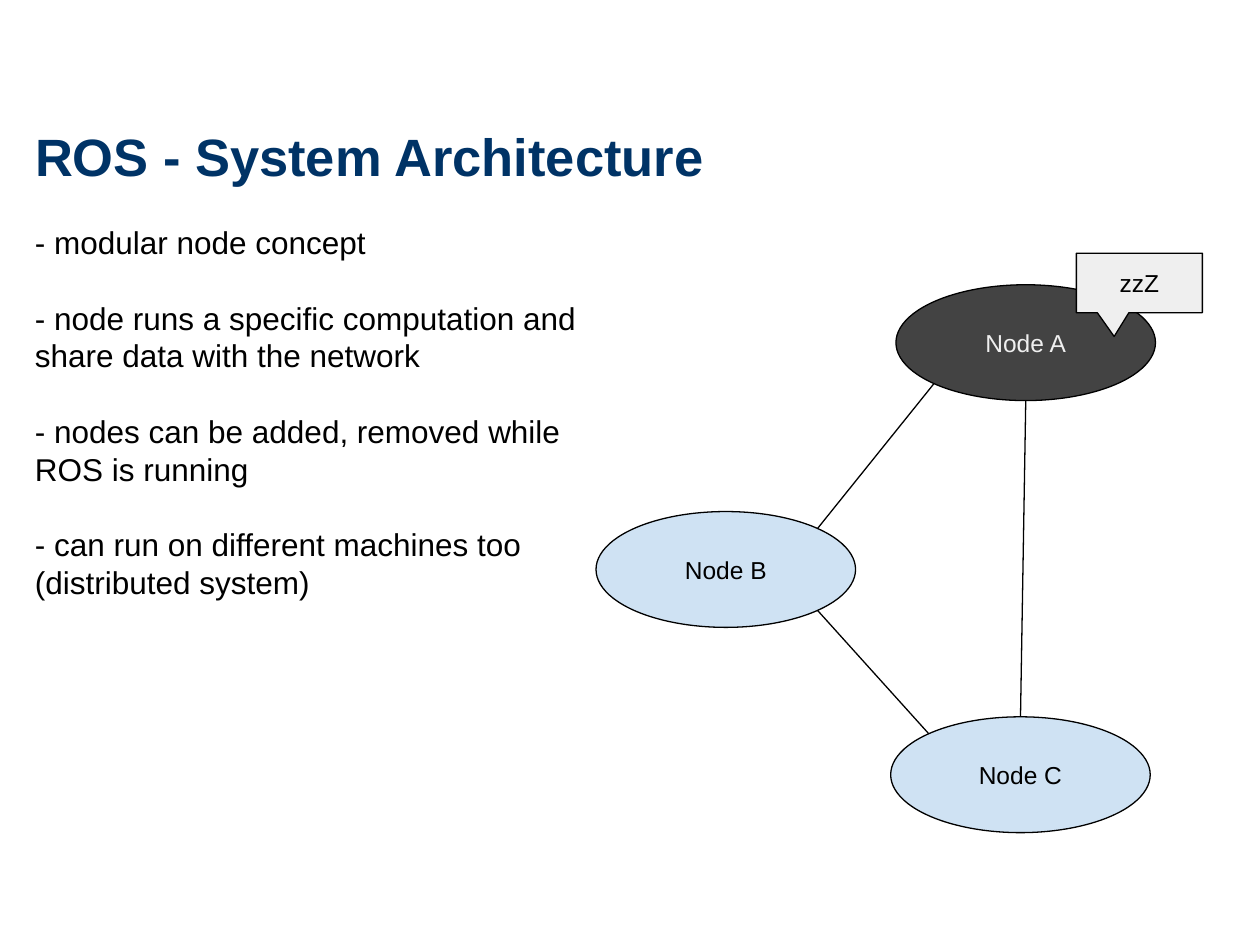
from dataclasses import dataclass
from math import cos, radians, sin

from lxml.etree import SubElement
from pptx import Presentation
from pptx.dml.color import RGBColor
from pptx.enum.shapes import MSO_CONNECTOR, MSO_SHAPE
from pptx.enum.text import MSO_ANCHOR, MSO_AUTO_SIZE, PP_ALIGN
from pptx.oxml.ns import qn
from pptx.util import Pt


@dataclass(frozen=True)
class Theme:
    """Colours, type sizes and strokes of the slide."""
    font: str = "Arial"
    navy: str = "003366"
    black: str = "000000"
    dark: str = "434343"
    pale: str = "EFEFEF"
    blue: str = "CFE2F3"
    title: float = 30
    body: float = 18
    label: float = 14
    leading: float = 21.6
    stroke: float = 0.75


THEME = Theme()
NODE_SIZE = (148.3, 66.2)
NODES = {
    "Node A": (171.4, 18, THEME.dark, THEME.pale),
    "Node C": (168.4, 264.9, THEME.blue, THEME.black),
    "Node B": (0, 147.6, THEME.blue, THEME.black),
}
LINKS = [
    ("Node A", 135, "Node B", -45),
    ("Node B", 45, "Node C", -135),
    ("Node C", -90, "Node A", 90),
]
POINTS = [
    "- modular node concept",
    "- node runs a specific computation and share data with the network",
    "- nodes can be added, removed while ROS is running",
    "- can run on different machines too (distributed system)",
]


def format_text(tf, size, color, align, anchor, inset=0, bold=False):
    """Format the frame and every run in it."""
    tf.word_wrap = True
    tf.auto_size = MSO_AUTO_SIZE.NONE
    tf.vertical_anchor = anchor
    tf.margin_left = tf.margin_top = tf.margin_right = tf.margin_bottom = Pt(inset)
    for p in tf.paragraphs:
        p.alignment = align
        for r in p.runs:
            r.font.name, r.font.size, r.font.bold = THEME.font, Pt(size), bold
            r.font.color.rgb = RGBColor.from_string(color)


def add_title(s, left, top, width, height):
    """Place the slide title in its placeholder."""
    sp = s.shapes.title
    sp.left, sp.top, sp.width, sp.height = map(Pt, (left, top, width, height))
    sp.text_frame.text = "ROS - System Architecture"
    format_text(sp.text_frame, THEME.title, THEME.navy, PP_ALIGN.LEFT,
                MSO_ANCHOR.MIDDLE, bold=True)


def add_points(s, left, top, width, height):
    """Place the list of statements."""
    tf = s.shapes.add_textbox(*map(Pt, (left, top, width, height))).text_frame
    tf.text = "\n".join(POINTS)
    format_text(tf, THEME.body, THEME.black, PP_ALIGN.LEFT, MSO_ANCHOR.TOP)
    for p in tf.paragraphs:
        p.line_spacing = p.space_after = Pt(THEME.leading)


def add_labelled(s, kind, box, text, fill, color):
    """Add an outlined shape with a centred label."""
    sp = s.shapes.add_shape(kind, *map(Pt, box))
    sp.shadow.inherit = False
    sp.fill.solid()
    sp.fill.fore_color.rgb = RGBColor.from_string(fill)
    sp.line.color.rgb = RGBColor.from_string(THEME.black)
    sp.line.width = Pt(THEME.stroke)
    sp.text_frame.text = text
    format_text(sp.text_frame, THEME.label, color, PP_ALIGN.CENTER,
                MSO_ANCHOR.MIDDLE, inset=7.2)
    return sp


def rim_point(left, top, name, angle):
    """Return the point on a node's outline at the given angle."""
    x, y = NODES[name][:2]
    w, h = NODE_SIZE
    a = radians(angle)
    return left + x + w / 2 * (1 + cos(a)), top + y + h / 2 * (1 + sin(a))


def add_link(s, start, end):
    """Draw a plain line between two points."""
    line = s.shapes.add_connector(MSO_CONNECTOR.STRAIGHT, *map(Pt, start + end))
    line.line.color.rgb = RGBColor.from_string(THEME.black)
    line.line.width = Pt(THEME.stroke)
    SubElement(line._element.spPr, qn("a:effectLst"))


def add_network(s, left, top):
    """Draw the nodes, their links and the sleeping callout."""
    for name, (x, y, fill, color) in NODES.items():
        add_labelled(s, MSO_SHAPE.OVAL, (left + x, top + y, *NODE_SIZE), name, fill, color)
    for source, out_angle, target, in_angle in LINKS:
        add_link(s, rim_point(left, top, source, out_angle),
                 rim_point(left, top, target, in_angle))
    sp = add_labelled(s, MSO_SHAPE.ROUNDED_RECTANGULAR_CALLOUT,
                      (left + 274.5, top, 72, 34), "zzZ", THEME.pale, THEME.black)
    for i, value in enumerate((-0.2, 0.9, 0)):
        sp.adjustments[i] = value


def main():
    """Build and save the slide."""
    prs = Presentation()
    prs.slide_width, prs.slide_height = Pt(720), Pt(540)
    s = prs.slides.add_slide(prs.slide_layouts[5])
    add_title(s, 20, 71.3, 680.4, 35.3)
    add_points(s, 20, 127.4, 338.4, 383)
    add_network(s, 340.6, 144.7)
    prs.save("out.pptx")


if __name__ == "__main__":
    main()
